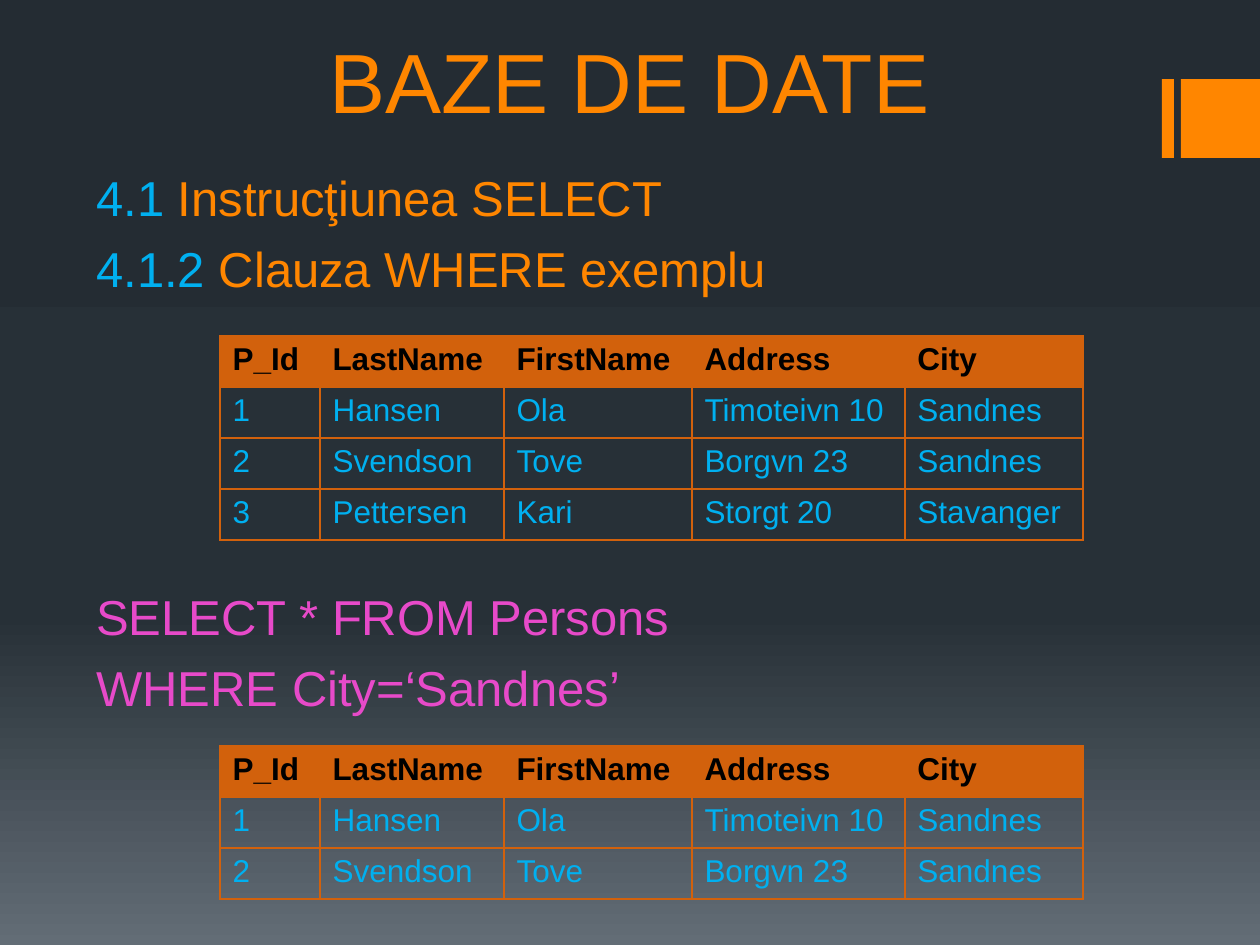
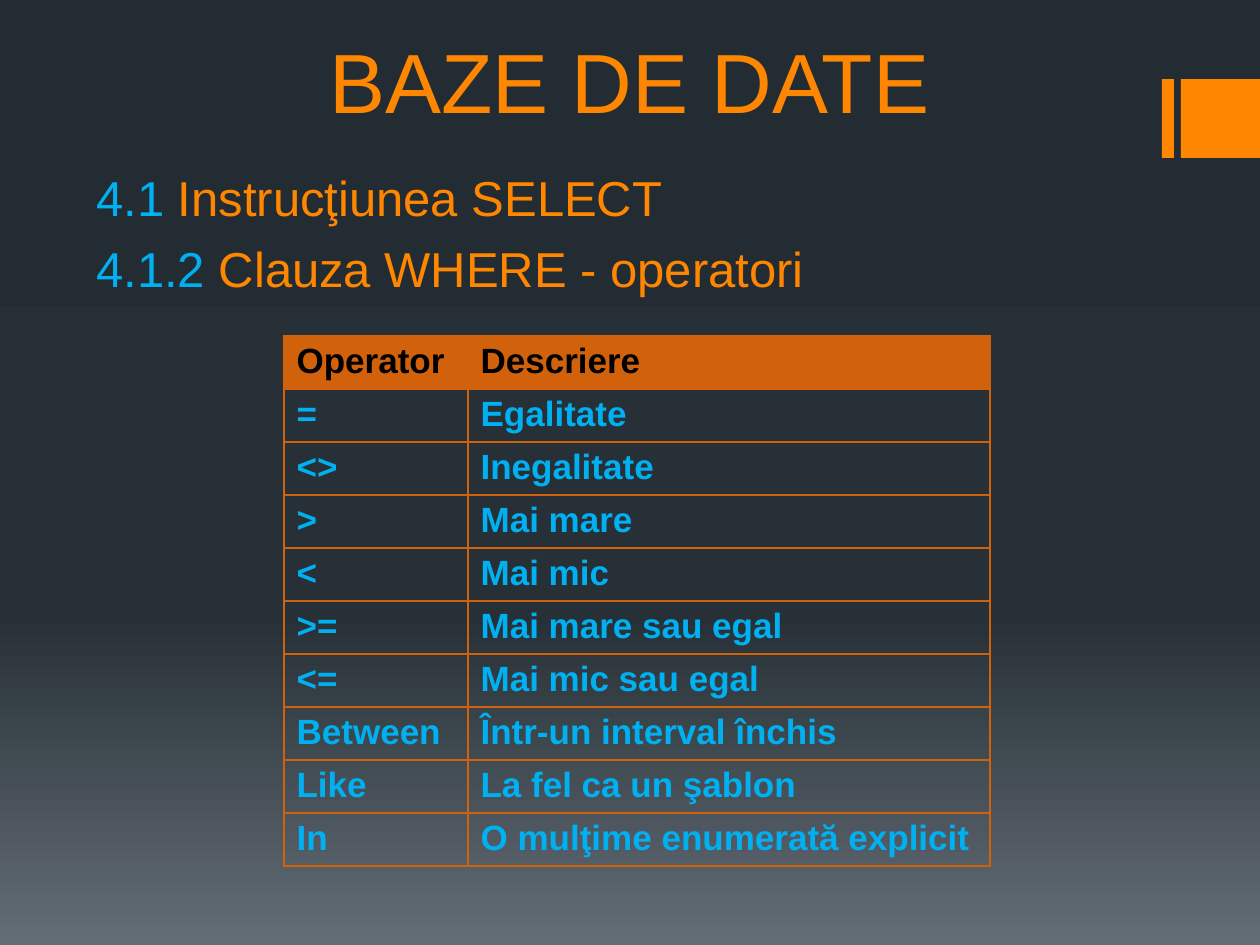
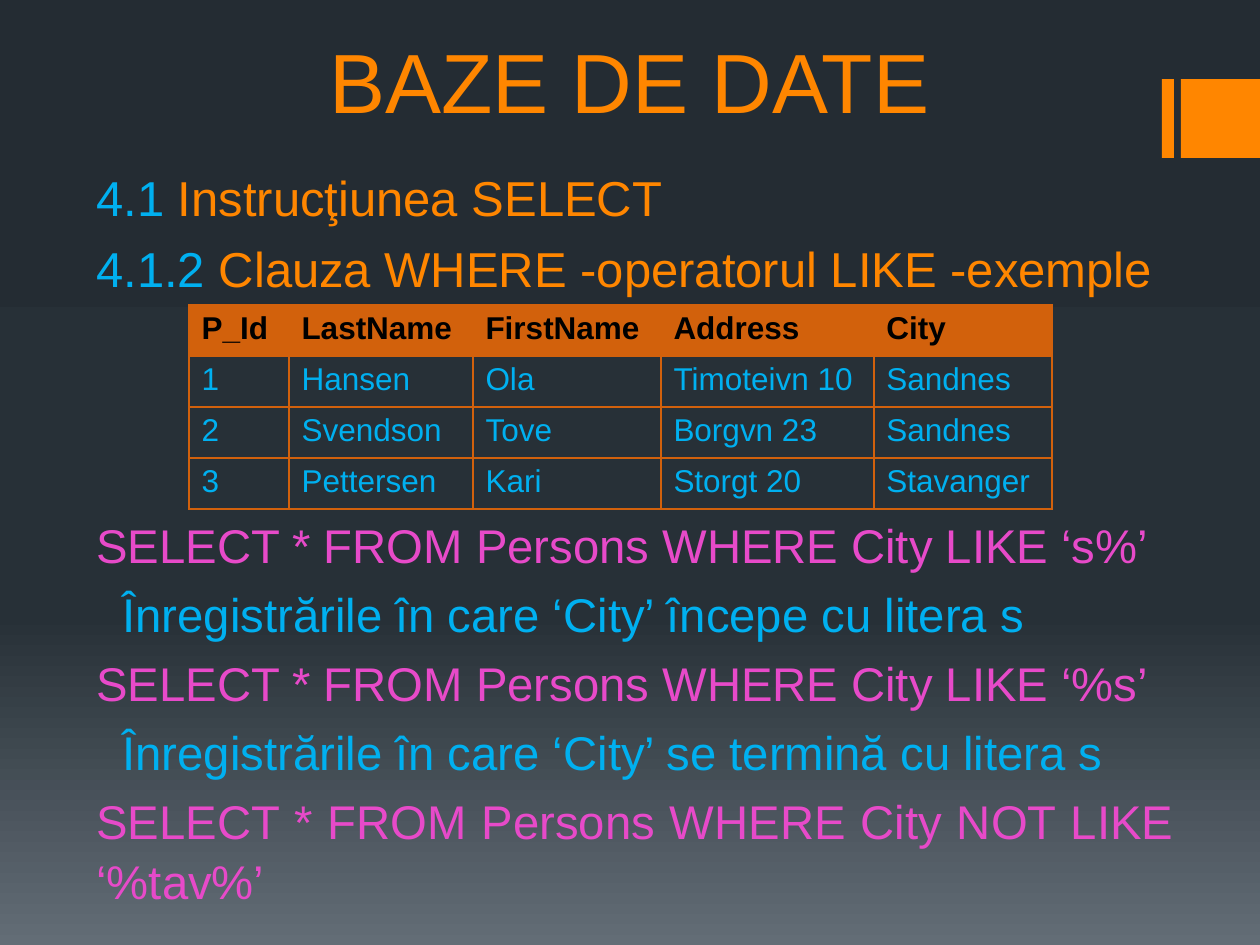
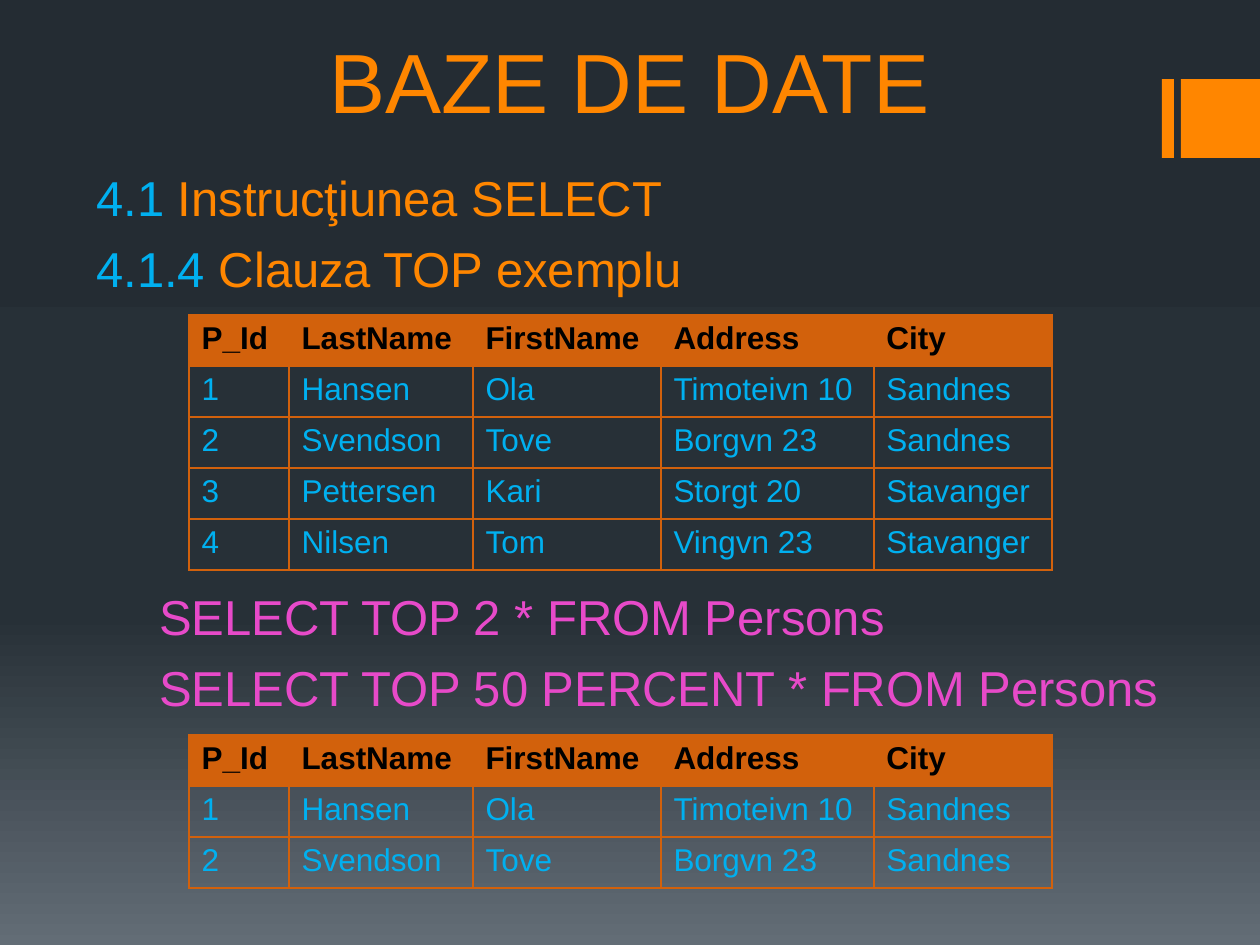
"""Build four database lecture slides on the WHERE and TOP clauses of SELECT."""
import pptx
import pptx.dml.color
import pptx.enum.shapes
import pptx.enum.text
import pptx.oxml
import pptx.oxml.ns
import pptx.util

RGB = pptx.dml.color.RGBColor
ALIGN = pptx.enum.text.PP_ALIGN
ORANGE = RGB(0xFF, 0x86, 0x00)
RUST = RGB(0xD2, 0x61, 0x0C)
BLUE = RGB(0x00, 0xB0, 0xF0)
PINK = RGB(0xE7, 0x4A, 0xC9)
BLACK = RGB(0x00, 0x00, 0x00)
BACKDROP = [(0, RGB(0x24, 0x2C, 0x33)), (65, RGB(0x27, 0x30, 0x37)), (100, RGB(0x63, 0x6D, 0x76))]
FONT = "Arial"
NO_STYLE = "{2D5ABB26-0587-4C30-8999-92F81FD0307C}"

TITLE = "BAZE DE DATE"
TITLE_AREA = (94, 0, 1071, 137)
BANDS = [(1162, 79, 12, 79), (1181, 79, 79, 79)]
BODY_LEFT, BODY_TOP, BODY_HEIGHT = 84, 158, 703
SECTION = ("4.1 ", "Instrucţiunea SELECT")

PERSONS = [
    ("P_Id", "LastName", "FirstName", "Address", "City"),
    ("1", "Hansen", "Ola", "Timoteivn 10", "Sandnes"),
    ("2", "Svendson", "Tove", "Borgvn 23", "Sandnes"),
    ("3", "Pettersen", "Kari", "Storgt 20", "Stavanger"),
    ("4", "Nilsen", "Tom", "Vingvn 23", "Stavanger"),
]
OPERATORS = [
    ("Operator", "Descriere"),
    ("=", "Egalitate"),
    ("<>", "Inegalitate"),
    (">", "Mai mare"),
    ("<", "Mai mic"),
    (">=", "Mai mare sau egal"),
    ("<=", "Mai mic sau egal"),
    ("Between", "Într-un interval închis"),
    ("Like", "La fel ca un şablon"),
    ("In", "O mulţime enumerată explicit"),
]
PERSONS_LOOK = {"columns": (100, 184, 188, 213, 178), "row": 51, "size": 18, "bold": False}
OPERATORS_LOOK = {"columns": (184, 522), "row": 52, "size": 20, "bold": True}

SLIDES = [
    {
        "topic": ("4.1.2 ", "Clauza WHERE exemplu"),
        "queries": [("SELECT * FROM Persons", PINK, 0), ("WHERE City=‘Sandnes’", PINK, 0)],
        "query_size": 28, "query_gap": 286, "body_width": 1092,
        "tables": [(220, 336, PERSONS[:4], PERSONS_LOOK), (220, 746, PERSONS[:3], PERSONS_LOOK)],
    },
    {
        "topic": ("4.1.2 ", "Clauza WHERE - operatori"),
        "queries": [], "query_size": 28, "query_gap": 0, "body_width": 1092,
        "tables": [(284, 336, OPERATORS, OPERATORS_LOOK)],
    },
    {
        "topic": ("4.1.2 ", "Clauza WHERE -operatorul LIKE -exemple"),
        "queries": [
            ("SELECT * FROM Persons WHERE City LIKE ‘s%’", PINK, 0),
            ("Înregistrările în care ‘City’ începe cu litera s", BLUE, 26),
            ("SELECT * FROM Persons WHERE City LIKE ‘%s’", PINK, 0),
            ("Înregistrările în care ‘City’ se termină cu litera s", BLUE, 26),
            ("SELECT * FROM Persons WHERE City NOT LIKE ‘%tav%’", PINK, 0),
        ],
        "query_size": 27, "query_gap": 216, "body_width": 1102,
        "tables": [(189, 305, PERSONS[:4], PERSONS_LOOK)],
    },
    {
        "topic": ("4.1.4 ", "Clauza TOP exemplu"),
        "queries": [
            ("SELECT TOP 2 * FROM Persons", PINK, 63),
            ("SELECT TOP 50 PERCENT * FROM Persons", PINK, 63),
        ],
        "query_size": 28, "query_gap": 286, "body_width": 1092,
        "tables": [(189, 315, PERSONS, PERSONS_LOOK), (189, 735, PERSONS[:3], PERSONS_LOOK)],
    },
]


def px(length):
    return pptx.util.Emu(round(length * 914400 / 126))


def element(xml):
    head, tail = xml.split(">", 1) if "/>" not in xml.split(">", 1)[0] + ">" else (xml[:-2], None)
    names = pptx.oxml.ns.nsdecls("a")
    return pptx.oxml.parse_xml(f"{head} {names}/>" if tail is None else f"{head} {names}>{tail}")


def style(font, size, color, bold=False):
    font.name, font.size, font.bold = FONT, pptx.util.Pt(size), bold
    font.color.rgb = color


def paint_backdrop(master):
    fill = master.background.fill
    fill.gradient()
    fill.gradient_angle = 270
    stops = "".join(f'<a:gs pos="{at * 1000}"><a:srgbClr val="{color}"/></a:gs>' for at, color in BACKDROP)
    old = master.element.xpath("p:cSld/p:bg//a:gsLst")[0]
    old.getparent().replace(old, element(f"<a:gsLst>{stops}</a:gsLst>"))


def add_bands(page):
    for area in BANDS:
        band = page.shapes.add_shape(pptx.enum.shapes.MSO_SHAPE.RECTANGLE, *map(px, area))
        band.shadow.inherit = False
        band.fill.solid()
        band.fill.fore_color.rgb = ORANGE
        band.line.fill.background()


def add_title(page):
    title = page.shapes.title
    title.left, title.top, title.width, title.height = map(px, TITLE_AREA)
    frame = title.text_frame
    frame.text = TITLE
    frame.auto_size = pptx.enum.text.MSO_AUTO_SIZE.NONE
    frame.vertical_anchor = pptx.enum.text.MSO_ANCHOR.BOTTOM
    frame.paragraphs[0].alignment = ALIGN.CENTER
    style(frame.paragraphs[0].font, 48, ORANGE)


def add_body(page, slide):
    box = page.shapes.add_textbox(*map(px, (BODY_LEFT, BODY_TOP, slide["body_width"], BODY_HEIGHT)))
    frame = box.text_frame
    frame.word_wrap = True
    for index, heading in enumerate((SECTION, slide["topic"])):
        para = frame.add_paragraph() if index else frame.paragraphs[0]
        para.alignment, para.line_spacing = ALIGN.JUSTIFY, 1.05
        if index:
            para.space_before = pptx.util.Pt(5.6)
        for text, color in zip(heading, (BLUE, ORANGE)):
            span = para.add_run()
            span.text = text
            style(span.font, 28, color)
    for index, (text, color, indent) in enumerate(slide["queries"]):
        para = frame.add_paragraph()
        para.text = text
        para.alignment, para.line_spacing = ALIGN.JUSTIFY, 1.05
        para.space_before = pptx.util.Pt(slide["query_size"] / 5) if index else px(slide["query_gap"])
        para._p.get_or_add_pPr().set("marL", str(px(indent)))
        style(para.font, slide["query_size"], color)


def add_grid(page, left, top, rows, look):
    widths = look["columns"]
    area = (left, top, sum(widths), look["row"] * len(rows))
    table = page.shapes.add_table(len(rows), len(widths), *map(px, area)).table
    table.horz_banding = False
    table._tbl.xpath("a:tblPr/a:tableStyleId")[0].text = NO_STYLE
    for column, width in zip(table.columns, widths):
        column.width = px(width)
    for row_index, row in enumerate(rows):
        table.rows[row_index].height = px(look["row"])
        for column_index, text in enumerate(row):
            format_cell(table.cell(row_index, column_index), text, row_index == 0, look)


def format_cell(cell, text, is_header, look):
    cell.text = text
    cell.margin_top, cell.margin_bottom = px(6), px(5)
    properties = cell._tc.get_or_add_tcPr()
    for side in "LRTB":
        properties.append(element(
            f'<a:ln{side} w="12700"><a:solidFill><a:srgbClr val="{RUST}"/></a:solidFill></a:ln{side}>'))
    if is_header:
        cell.fill.solid()
        cell.fill.fore_color.rgb = RUST
    else:
        cell.fill.background()
    style(cell.text_frame.paragraphs[0].font, look["size"], BLACK if is_header else BLUE,
          is_header or look["bold"])


def main():
    deck = pptx.Presentation()
    deck.slide_width, deck.slide_height = px(1260), px(945)
    paint_backdrop(deck.slide_master)
    for slide in SLIDES:
        page = deck.slides.add_slide(deck.slide_layouts[5])
        add_bands(page)
        add_title(page)
        add_body(page, slide)
        for left, top, rows, look in slide["tables"]:
            add_grid(page, left, top, rows, look)
    deck.save("out.pptx")


if __name__ == "__main__":
    main()
